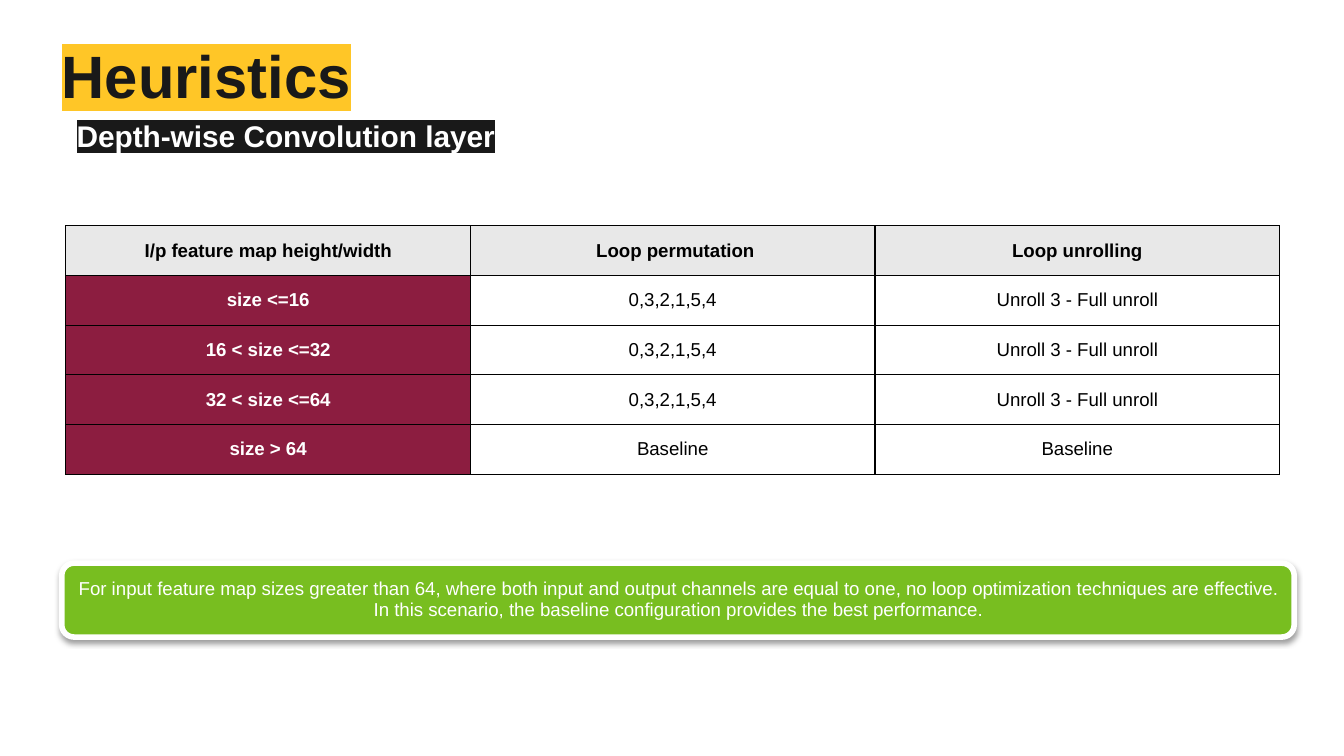
import pptx
import pptx.dml.color
import pptx.enum.shapes
import pptx.enum.text
import pptx.oxml.ns
import pptx.util
from lxml import etree

Inches = pptx.util.Inches
Pt = pptx.util.Pt
qn = pptx.oxml.ns.qn
PP_ALIGN = pptx.enum.text.PP_ALIGN
ANCHOR = pptx.enum.text.MSO_ANCHOR


def rgb(value):
    return pptx.dml.color.RGBColor.from_string(value)


def write(tf, text, size=10, color="000000", bold=False, highlight=None,
          align=PP_ALIGN.CENTER, spacing=None, anchor=ANCHOR.MIDDLE, inset=0):
    tf.word_wrap = True
    tf.vertical_anchor = anchor
    tf.margin_left = tf.margin_right = Inches(inset)
    tf.margin_top = tf.margin_bottom = Inches(inset)
    p = tf.paragraphs[0]
    p.alignment = align
    p.space_before = Pt(0)
    if spacing:
        p.line_spacing = spacing
    r = p.add_run()
    r.text = text
    r.font.name = "Arial"
    r.font.size = Pt(size)
    r.font.bold = bold
    r.font.color.rgb = rgb(color)
    if highlight:
        mark = etree.Element(qn("a:highlight"))
        etree.SubElement(mark, qn("a:srgbClr"), val=highlight)
        r.font._element.find(qn("a:solidFill")).addnext(mark)
    return p


# Widescreen slide, 16:9
prs = pptx.Presentation()
prs.slide_width = Inches(10)
prs.slide_height = Inches(10) * 9 // 16
s = prs.slides.add_slide(prs.slide_layouts[0])

# Title and subtitle
title, subtitle = s.placeholders
for sp, top, width, height in ((title, 0.35, 9.2, 0.48), (subtitle, 0.83, 9.17, 0.31)):
    sp.left, sp.top = Inches(0.46), Inches(top)
    sp.width, sp.height = Inches(width), Inches(height)
    sp.text_frame.auto_size = pptx.enum.text.MSO_AUTO_SIZE.NONE
write(title.text_frame, "Heuristics", size=32, color="191919", bold=True,
      highlight="FFC627", align=PP_ALIGN.LEFT, spacing=0.9, anchor=ANCHOR.BOTTOM)
p = write(subtitle.text_frame, "Depth-wise Convolution layer", size=16, color="FFFFFF",
          bold=True, highlight="191919", align=PP_ALIGN.LEFT, spacing=1.15,
          anchor=ANCHOR.BOTTOM)
pPr = p._p.get_or_add_pPr()
pPr.set("marL", str(Inches(0.5)))
pPr.set("indent", str(Inches(-0.39)))

# Table of heuristics
rows = [
    ("I/p feature map height/width", " Loop permutation", "Loop unrolling"),
    ("size <=16", "0,3,2,1,5,4", "Unroll 3 - Full unroll"),
    ("16 < size <=32", "0,3,2,1,5,4", "Unroll 3 - Full unroll"),
    ("32 < size <=64", "0,3,2,1,5,4", "Unroll 3 - Full unroll"),
    ("size > 64", "Baseline", "Baseline"),
]
table = s.shapes.add_table(len(rows), 3, Inches(0.49), Inches(1.68),
                           Inches(9.03), Inches(1.85)).table
for i, row in enumerate(rows):
    for j, text in enumerate(row):
        cell = table.cell(i, j)
        is_label = i > 0 and j == 0
        write(cell.text_frame, text, bold=i == 0 or j == 0,
              color="FFFFFF" if is_label else "000000")
        cell.vertical_anchor = ANCHOR.MIDDLE
        cell.margin_left = cell.margin_right = Inches(0.1)
        cell.margin_top = cell.margin_bottom = Inches(0.1)
        # Borders come before the fill in the cell properties
        tcPr = cell._tc.get_or_add_tcPr()
        for side in ("lnL", "lnR", "lnT", "lnB"):
            ln = etree.SubElement(tcPr, qn("a:" + side), w=str(Pt(0.75)))
            fill = etree.SubElement(ln, qn("a:solidFill"))
            etree.SubElement(fill, qn("a:srgbClr"), val="000000")
        if i == 0 or is_label:
            cell.fill.solid()
            cell.fill.fore_color.rgb = rgb("8C1D40" if is_label else "E8E8E8")
        else:
            cell.fill.background()

# Callout with a soft shadow
sp = s.shapes.add_shape(pptx.enum.shapes.MSO_SHAPE.ROUNDED_RECTANGLE,
                        Inches(0.46), Inches(4.19), Inches(9.17), Inches(0.55))
sp.fill.solid()
sp.fill.fore_color.rgb = rgb("78BE20")
sp.line.color.rgb = rgb("FFFFFF")
sp.line.width = Pt(3)
sp.shadow.inherit = False
effects = sp._element.spPr.find(qn("a:effectLst"))
shadow = etree.SubElement(effects, qn("a:outerShdw"), blurRad=str(Pt(3.1)),
                          dist=str(Pt(1.6)), dir="5400000", rotWithShape="0")
shade = etree.SubElement(shadow, qn("a:srgbClr"), val="000000")
etree.SubElement(shade, qn("a:alpha"), val="38000")
write(sp.text_frame,
      "For input feature map sizes greater than 64, where both input and output channels "
      "are equal to one, no loop optimization techniques are effective. In this scenario, "
      "the baseline configuration provides the best performance.",
      color="FFFFFF", spacing=0.9, inset=0.04)

prs.save("out.pptx")
